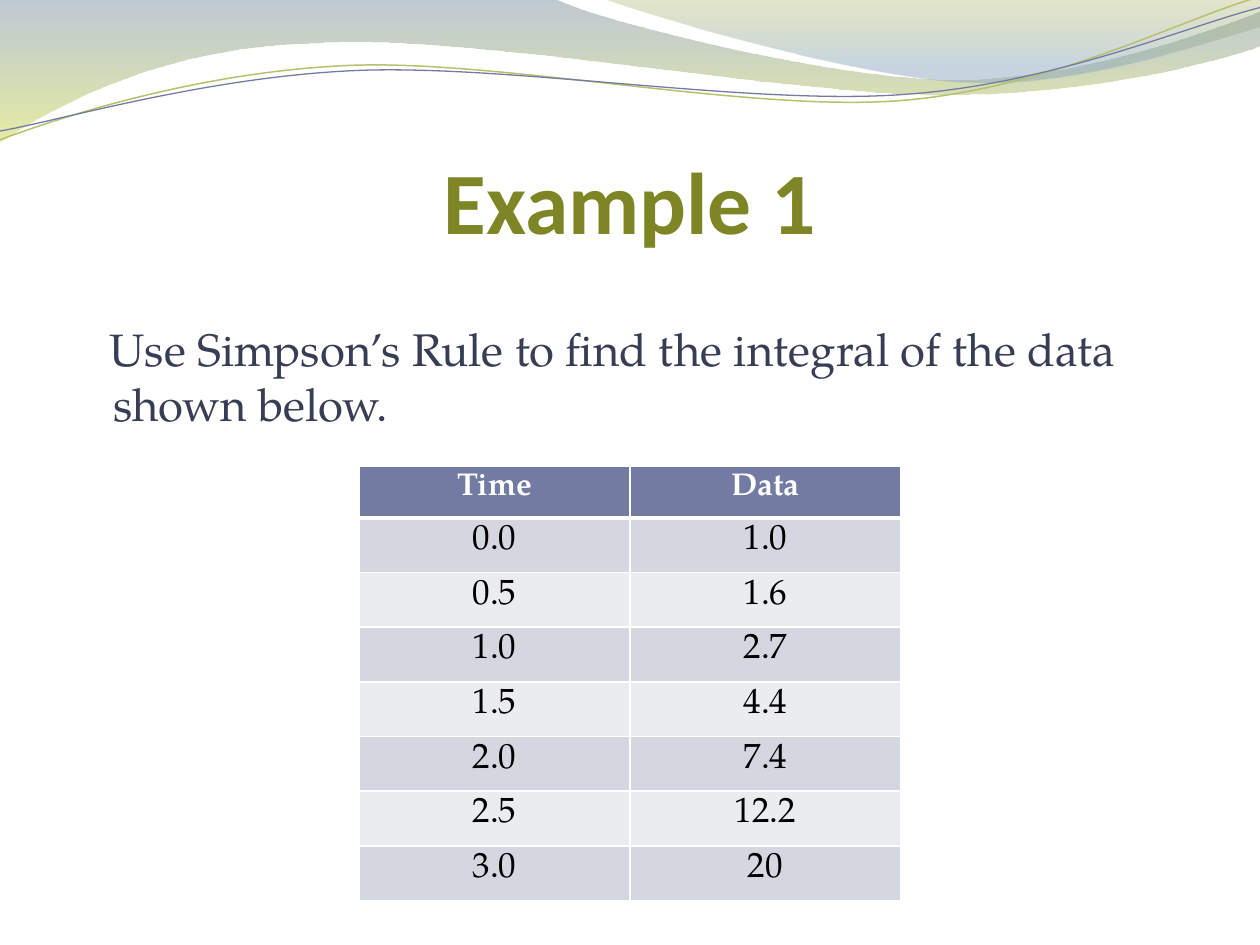
from lxml.etree import SubElement
from pptx import Presentation
from pptx.dml.color import RGBColor
from pptx.enum.text import MSO_ANCHOR, PP_ALIGN
from pptx.oxml.ns import qn
from pptx.util import Inches, Pt

WIDE, HIGH = Inches(10), Inches(7.5)
SERIF, SANS = "TeX Gyre Pagella", "Calibri"
WHITE = RGBColor(0xFF, 0xFF, 0xFF)
BLACK = RGBColor(0, 0, 0)
OLIVE = RGBColor(0x7D, 0x85, 0x25)
NAVY = RGBColor(0x37, 0x3D, 0x54)
SLATE = RGBColor(0x72, 0x7C, 0xA3)
LIME = RGBColor(0xB9, 0xC0, 0x6C)
BANDS = RGBColor(0xD5, 0xD7, 0xE0), RGBColor(0xEB, 0xEC, 0xF0)
STEEL = RGBColor(0x72, 0x88, 0x9B)
GRASS = RGBColor(0xD3, 0xDE, 0x57)
MOSS = RGBColor(0xA4, 0xAC, 0x50)
SKY = RGBColor(0x84, 0xA3, 0xBD)

ROWS = [("Time", "Data"), ("0.0", "1.0"), ("0.5", "1.6"), ("1.0", "2.7"),
        ("1.5", "4.4"), ("2.0", "7.4"), ("2.5", "12.2"), ("3.0", "20")]
WAVE = [(0, 0), (4.4, -0.01), (4.76, 0.17, 6.64, 0.63, 7.58, 0.63),
        (8.53, 0.63, 9.58, 0.26, 10, 0.09), (10.01, 0.36),
        (9.83, 0.44, 8.7, 0.76, 7.46, 0.75),
        (6.22, 0.75, 3.82, 0.28, 2.57, 0.34),
        (1.29, 0.36, 0.46, 0.83, -0.01, 1.13), (0, 0)]
CREST = [(4.79, -0.01), (5.09, 0.11, 6.82, 0.62, 7.69, 0.65),
         (8.56, 0.69, 9.61, 0.32, 10, 0.21), (10, 0), (4.79, -0.01)]
UPPER = [(0, 1.11), (0.48, 0.93, 1.58, 0.57, 2.77, 0.52),
         (3.95, 0.47, 5.93, 0.89, 7.13, 0.8),
         (8.33, 0.71, 9.38, 0.15, 9.98, -0.02)]
LOWER = [(0, 1.04), (0.47, 0.96, 1.64, 0.61, 2.83, 0.56),
         (4.03, 0.51, 5.97, 0.84, 7.17, 0.75),
         (8.36, 0.67, 9.41, 0.21, 10, 0.06)]


def bend(shape, path):
    """Turn the straight parts of an outline into cubic curves where given."""
    lines = list(shape._element.iter(qn("a:lnTo")))
    for line, part in zip(lines, path[1:]):
        if len(part) == 2:
            continue
        line.tag = qn("a:cubicBezTo")
        line.remove(line[0])
        for x, y in zip(part[::2], part[1::2]):
            SubElement(line, qn("a:pt"), x=str(Inches(x) - shape.left),
                       y=str(Inches(y) - shape.top))


def add_path(slide, path, close):
    """Add a curved outline without a shadow."""
    dots = [(Inches(part[-2]), Inches(part[-1])) for part in path]
    pen = slide.shapes.build_freeform(*dots[0])
    pen.add_line_segments(dots[1:], close=close)
    shape = pen.convert_to_shape()
    shape.shadow.inherit = False
    bend(shape, path)
    return shape


def add_wave(slide, path, stops):
    """Add a filled wave; each stop is a place, a colour and an opacity."""
    shape = add_path(slide, path, True)
    shape.line.fill.background()
    shape.fill.gradient()
    shape.fill.gradient_angle = 270
    for stop, (place, tint, _) in zip(shape.fill.gradient_stops, stops):
        stop.position = place
        stop.color.rgb = tint
    tints = shape._element.spPr.find(qn("a:gradFill")).iter(qn("a:srgbClr"))
    for node, (_, _, share) in zip(list(tints), stops):
        SubElement(node, qn("a:alpha"), val=str(share * 1000))


def add_curve(slide, path, tint, width):
    """Add an open curved line."""
    shape = add_path(slide, path, False)
    shape.fill.background()
    shape.line.color.rgb = tint
    shape.line.width = Pt(width)


def style(para, name, size, tint, bold=False):
    """Set the font of a paragraph."""
    font = para.font
    font.name, font.size, font.bold = name, Pt(size), bold
    font.color.rgb = tint


def set_title(slide, text):
    """Place and format the title."""
    title = slide.shapes.title
    title.left, title.top = int(WIDE * 0.05), int(HIGH * 0.1)
    title.width, title.height = int(WIDE * 0.9), Inches(1.25)
    frame = title.text_frame
    frame.text = text
    frame.vertical_anchor = MSO_ANCHOR.BOTTOM
    frame.margin_left = frame.margin_right = frame.margin_bottom = 0
    para = frame.paragraphs[0]
    para.alignment = PP_ALIGN.CENTER
    style(para, SANS, 50, OLIVE, True)


def add_body(slide, text):
    """Add the task text with a slight hanging indent."""
    box = slide.shapes.add_textbox(int(WIDE * 0.05), HIGH // 3, int(WIDE * 0.9), Inches(1.22))
    frame = box.text_frame
    frame.word_wrap = True
    frame.text = text
    para = frame.paragraphs[0]
    para.space_before = Pt(5.2)
    props = para._p.get_or_add_pPr()
    props.set("marL", str(Inches(0.3)))
    props.set("indent", str(Inches(-0.03)))
    style(para, SERIF, 26, NAVY)


def set_edges(cell, top, base):
    """Draw white borders round a cell."""
    props = cell._tc.get_or_add_tcPr()
    for side, width in zip("LRTB", (1, 1, top, base)):
        edge = SubElement(props, qn(f"a:ln{side}"), w=str(Pt(width)))
        fill = SubElement(edge, qn("a:solidFill"))
        SubElement(fill, qn("a:srgbClr"), val=str(WHITE))


def fill_cell(cell, text, row):
    """Write and format one cell of the table."""
    set_edges(cell, 3 if row == 1 else 1, 3 if row == 0 else 1)
    cell.fill.solid()
    cell.fill.fore_color.rgb = BANDS[(row - 1) % 2] if row else SLATE
    cell.text = text
    para = cell.text_frame.paragraphs[0]
    para.alignment = PP_ALIGN.CENTER
    if row:
        style(para, SERIF, 20, BLACK)
    else:
        style(para, SERIF, 18, WHITE, True)


def add_data(slide, rows):
    """Add the centred table of times and data."""
    width = int(WIDE * 0.43)
    highs = [0.41, 0.19] + [0.41] * (len(rows) - 2)
    frame = slide.shapes.add_table(len(rows), 2, (WIDE - width) // 2, Inches(3.7),
                                   width, Inches(3.44))
    table = frame.table
    for r, (high, texts) in enumerate(zip(highs, rows)):
        table.rows[r].height = Inches(high)
        for c, text in enumerate(texts):
            fill_cell(table.cell(r, c), text, r)


def main():
    """Build and save the slide."""
    deck = Presentation()
    deck.slide_width, deck.slide_height = WIDE, HIGH
    slide = deck.slides.add_slide(deck.slide_layouts[5])
    add_wave(slide, WAVE, [(0, STEEL, 45), (1, GRASS, 55)])
    add_wave(slide, CREST, [(0, MOSS, 30), (0.8, SKY, 45)])
    add_curve(slide, UPPER, LIME, 0.85)
    add_curve(slide, LOWER, SLATE, 0.75)
    set_title(slide, "Example 1")
    add_body(slide, "Use Simpson’s Rule to find the integral of the data shown below.")
    add_data(slide, ROWS)
    deck.save("out.pptx")


if __name__ == "__main__":
    main()
